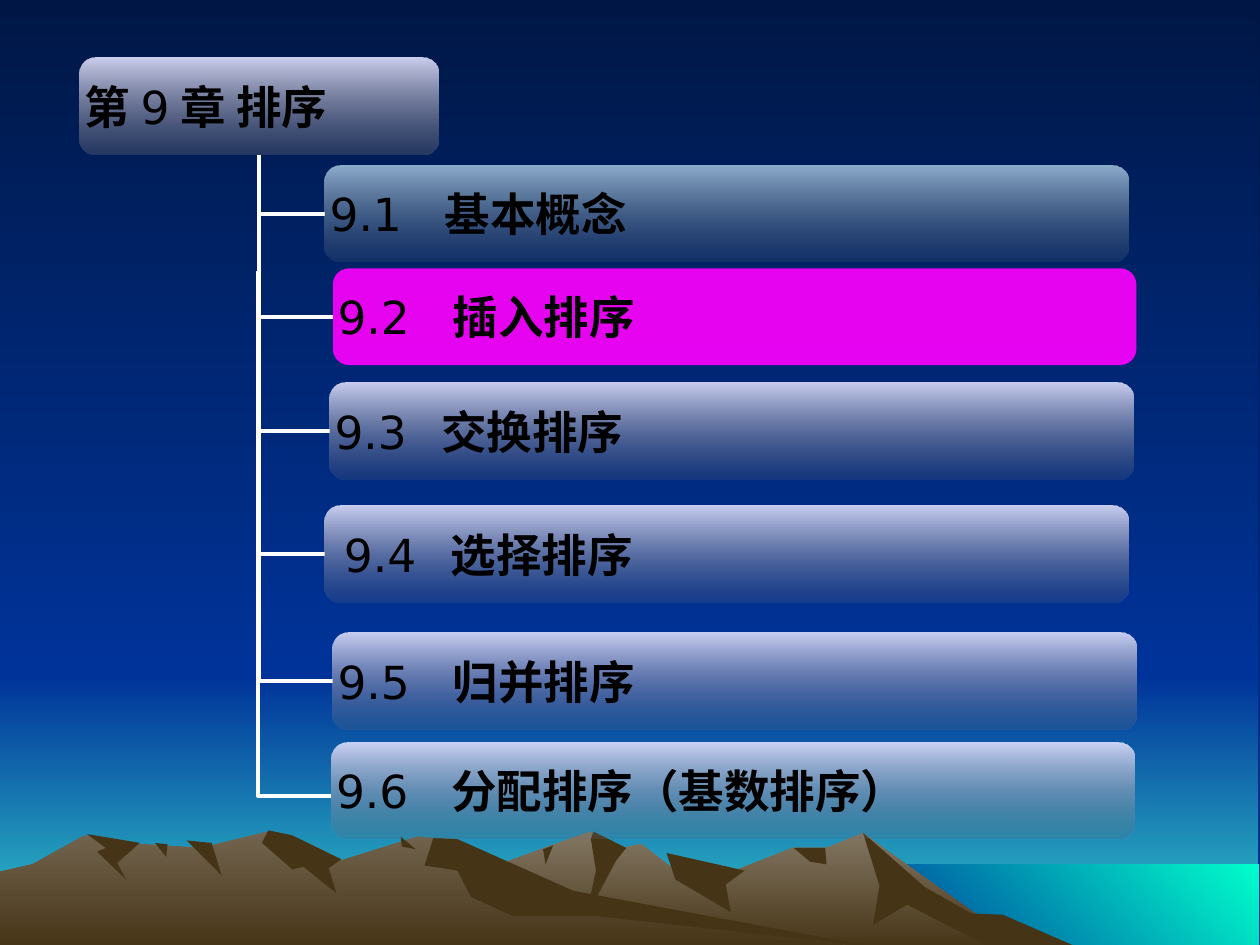
from lxml.etree import SubElement
from pptx import Presentation
from pptx.dml.color import RGBColor
from pptx.enum.shapes import MSO_CONNECTOR as Link, MSO_SHAPE as Preset
from pptx.enum.text import MSO_ANCHOR as Anchor, PP_ALIGN as Align
from pptx.oxml.ns import qn
from pptx.util import Cm, Pt

NIGHT = RGBColor.from_string("001746")
BLUE = RGBColor.from_string("003399")
TEAL = RGBColor.from_string("33CCCC")
AQUA = RGBColor.from_string("00FFCC")
STONE = RGBColor.from_string("837763")
EARTH = RGBColor.from_string("72644E")
SHADE = RGBColor.from_string("463416")
LAVENDER = RGBColor.from_string("E3E3FF")
GREY = RGBColor.from_string("686875")
ICE = RGBColor.from_string("CCECFF")
SLATE = RGBColor.from_string("5E6C75")
MAGENTA = RGBColor.from_string("FF00FF")
WHITE = RGBColor.from_string("FFFFFF")
BLACK = RGBColor.from_string("000000")

LATIN, HAN = "DejaVu Sans", "Noto Sans CJK SC"
DOWN, DOWN_LEFT = 270, 225
RIDGE_UNIT = Cm(2.54) / 100  # outlines are given in hundredths of an inch

# Fills: list of (colour, opacity in percent); two entries make a gradient
SKY = [(NIGHT, 100), (BLUE, 100)]
DARK = [(SHADE, 100)]
PALE = [(LAVENDER, 89), (GREY, 19)]
ROOT = [(LAVENDER, 90), (GREY, 35)]
ICY = [(ICE, 70), (SLATE, 19)]
CURRENT = [(MAGENTA, 90)]

# Mountain outlines, back to front
MOUNTAINS = [
    ([(STONE, 100), (SHADE, 100)], [
        (778, 728), (701, 673), (685, 661), (656, 673), (629, 673), (566, 698), (536, 691),
        (509, 670), (485, 675), (468, 660), (394, 687), (327, 711), (258, 753), (821, 753)]),
    (DARK, [
        (771, 725), (734, 704), (685, 661), (698, 703), (693, 734), (720, 718), (788, 753),
        (858, 753), (796, 726)]),
    (DARK, [(471, 660), (469, 666), (473, 691), (465, 728), (489, 683), (497, 673)]),
    (DARK, [(529, 677), (536, 698), (580, 724), (576, 702), (591, 691)]),
    (DARK, [(630, 673), (643, 684), (656, 686), (655, 673)]),
    (DARK, [(431, 674), (439, 671), (433, 686)]),
    ([(EARTH, 100), (SHADE, 100)], [
        (690, 753), (432, 714), (354, 666), (331, 664), (271, 683), (235, 682), (212, 660),
        (160, 673), (111, 670), (67, 663), (26, 686), (0, 692), (0, 753)]),
    (DARK, [(213, 659), (208, 669), (232, 690), (241, 688), (267, 709), (261, 689),
            (271, 682), (232, 663)]),
    (DARK, [(363, 666), (344, 665), (337, 687), (363, 691), (374, 712), (407, 727),
            (472, 727), (690, 751), (455, 707)]),
    (DARK, [(318, 664), (330, 674), (319, 672)]),
    (DARK, [(148, 667), (168, 669), (176, 695)]),
    (DARK, [(123, 669), (133, 670), (132, 680)]),
    (DARK, [(69, 662), (111, 669), (93, 685), (100, 698), (77, 676), (84, 673)]),
]

# Sections: title, left (cm), top (cm), fill
BOX_WIDTH, BOX_HEIGHT = 16.2, 1.95
SECTIONS = [
    ("9.1", "基本概念", 6.55, 3.33, ICY),
    ("9.2", "插入排序", 6.71, 5.41, CURRENT),
    ("9.3", "交换排序", 6.65, 7.72, PALE),
    ("9.4", "选择排序", 6.55, 10.19, PALE),
    ("9.5", "归并排序", 6.71, 12.75, PALE),
    ("9.6", "分配排序（基数排序）", 6.68, 14.96, PALE),
]
WIDE_TAB, NARROW_TAB = 2.32, 2.15
NARROW_SECTIONS = ("9.3", "9.4")
INDENTS = {"9.4": 0.29}


class Deck:
    """Holds the style and the current slide."""

    def __init__(self, width, height):
        self.show = Presentation()
        self.show.slide_width, self.show.slide_height = Cm(width), Cm(height)
        self.slide = self.show.slides.add_slide(self.show.slide_layouts[6])
        self.shapes = self.slide.shapes

    def paint(self, fill, colours, angle=DOWN):
        if len(colours) == 1:
            fill.solid()
            targets = [fill.fore_color]
        else:
            fill.gradient()
            fill.gradient_angle = angle
            targets = [stop.color for stop in fill.gradient_stops]
        for target, (colour, _) in zip(targets, colours):
            target.rgb = colour
        for node, (_, opacity) in zip(fill._xPr.iter(qn("a:srgbClr")), colours):
            if opacity < 100:
                SubElement(node, qn("a:alpha"), val=str(opacity * 1000))

    def finish(self, shape, colours, angle=DOWN):
        shape.shadow.inherit = False
        self.paint(shape.fill, colours, angle)
        shape.line.fill.background()
        return shape

    def block(self, left, top, width, height, colours, angle=DOWN, preset=Preset.RECTANGLE):
        shape = self.shapes.add_shape(preset, Cm(left), Cm(top), Cm(width), Cm(height))
        return self.finish(shape, colours, angle)

    def outline(self, points, colours):
        builder = self.shapes.build_freeform(*points[0], scale=RIDGE_UNIT)
        builder.add_line_segments(points[1:], close=True)
        self.finish(builder.convert_to_shape(), colours)

    def branch(self, trunk, top, right, bottom):
        elbow = self.shapes.add_connector(Link.ELBOW, Cm(trunk), Cm(top), Cm(right), Cm(bottom))
        elbow.line.color.rgb, elbow.line.width = WHITE, Pt(2.25)
        properties = elbow._element.spPr
        SubElement(properties, qn("a:effectLst"))
        # One bend, at the foot of the trunk
        properties.find(qn("a:prstGeom")).set("prst", "bentConnector2")
        properties.find(qn("a:xfrm")).set("rot", "10800000")

    def label(self, left, top, width, colours, runs, indent=0, tab=None):
        box = self.block(left, top, width, BOX_HEIGHT, colours, preset=Preset.ROUNDED_RECTANGLE)
        frame = box.text_frame
        frame.margin_left = Cm(indent)
        frame.margin_top = frame.margin_right = frame.margin_bottom = 0
        frame.vertical_anchor, frame.word_wrap = Anchor.MIDDLE, True
        paragraph = frame.paragraphs[0]
        paragraph.alignment = Align.LEFT
        if tab:
            stops = SubElement(paragraph._p.get_or_add_pPr(), qn("a:tabLst"))
            SubElement(stops, qn("a:tab"), pos=str(Cm(tab)), algn="l")
        for words, face in runs:
            run = paragraph.add_run()
            run.text = words
            run.font.name, run.font.size = face, Pt(26)
            run.font.bold = face == HAN
            run.font.color.rgb = BLACK
            SubElement(run._r.rPr, qn("a:ea"), typeface=HAN)


def main():
    deck = Deck(25.4, 19.05)

    # Sky, horizon and water
    deck.paint(deck.slide.background.fill, SKY)
    deck.block(-0.03, 13.61, 25.4, 5.51, [(BLUE, 100), (TEAL, 100)])
    deck.block(-0.03, 0.05, 25.4, 13.56, SKY)
    deck.block(17.35, 17.42, 8.03, 1.7, [(AQUA, 100), (BLUE, 100)], DOWN_LEFT)

    for colours, points in MOUNTAINS:
        deck.outline(points, colours)

    # Branches from the chapter to its sections
    for _, _, left, top, _ in SECTIONS[:-1]:
        deck.branch(5.23, 3.12, left, top + BOX_HEIGHT / 2)
    _, _, left, top, _ = SECTIONS[-1]
    deck.branch(5.2, 5.46, left, top + BOX_HEIGHT / 2 + 0.11)

    # Chapter and sections
    deck.label(1.6, 1.17, 7.24, ROOT, [("第", HAN), ("9", LATIN), ("章 排序", HAN)])
    for number, title, left, top, colours in SECTIONS:
        tab = NARROW_TAB if number in NARROW_SECTIONS else WIDE_TAB
        deck.label(left, top, BOX_WIDTH, colours, [(number + "\t", LATIN), (title, HAN)],
                   INDENTS.get(number, 0), tab)

    deck.show.save("out.pptx")


if __name__ == "__main__":
    main()
